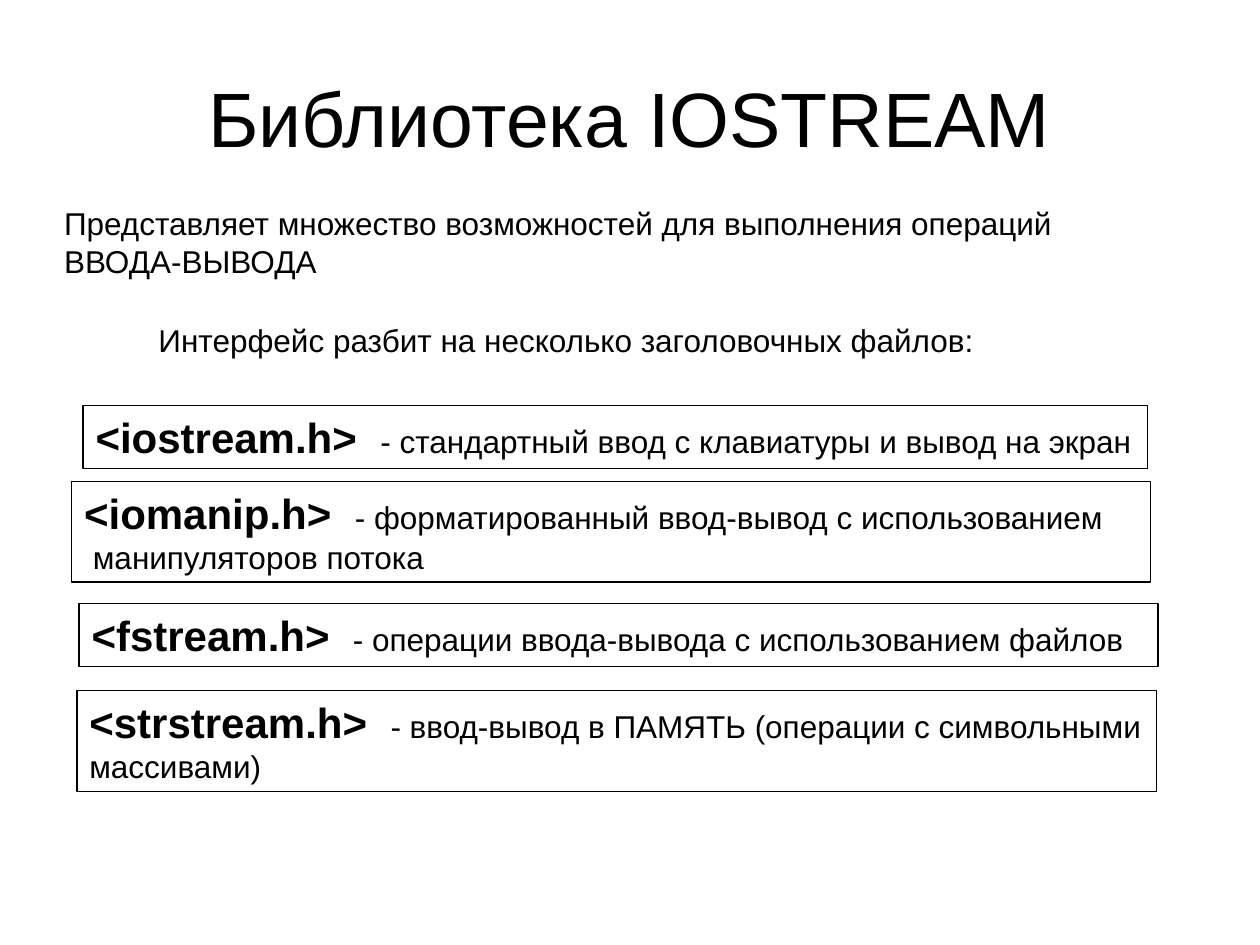
from dataclasses import dataclass

import pptx
import pptx.dml.color
import pptx.enum.shapes
import pptx.enum.text
import pptx.util

Pt = pptx.util.Pt
Align = pptx.enum.text.PP_ALIGN
Anchor = pptx.enum.text.MSO_ANCHOR
AutoSize = pptx.enum.text.MSO_AUTO_SIZE


@dataclass(frozen=True)
class Theme:
    font: str = "Arial"
    ink: pptx.dml.color.RGBColor = pptx.dml.color.RGBColor(0, 0, 0)
    title_size: int = 44
    header_size: int = 24
    body_size: int = 18
    border: float = 0.75


THEME = Theme()


def write_text(paragraph, text, *, size=THEME.body_size, bold=False, align=Align.LEFT):
    paragraph.alignment = align
    run = paragraph.add_run()
    run.text = text
    run.font.name = THEME.font
    run.font.size = Pt(size)
    run.font.bold = bold
    run.font.color.rgb = THEME.ink


def prepare_frame(shape, *, wrap, anchor=Anchor.TOP, auto_size=AutoSize.SHAPE_TO_FIT_TEXT):
    frame = shape.text_frame
    frame.word_wrap = wrap
    frame.auto_size = auto_size
    frame.vertical_anchor = anchor
    return frame


def add_lines(frame, lines):
    """Write further lines below the first paragraph of the frame."""
    for line in lines:
        write_text(frame.add_paragraph(), line)


def add_title(slide, text):
    box = slide.shapes.add_textbox(Pt(36), Pt(21.6), Pt(648), Pt(90))
    frame = prepare_frame(box, wrap=True, anchor=Anchor.MIDDLE, auto_size=AutoSize.NONE)
    write_text(frame.paragraphs[0], text, size=THEME.title_size, align=Align.CENTER)


def add_statement(slide, bounds, first_line, *more_lines):
    box = slide.shapes.add_textbox(*map(Pt, bounds))
    frame = prepare_frame(box, wrap=False)
    write_text(frame.paragraphs[0], first_line)
    add_lines(frame, more_lines)


def add_header_file(slide, bounds, header, purpose, *more_lines, wrap=True):
    """Add a bordered box that names a header file and says what it is for."""
    rectangle = pptx.enum.shapes.MSO_SHAPE.RECTANGLE
    box = slide.shapes.add_shape(rectangle, *map(Pt, bounds))
    box.shadow.inherit = False
    box.fill.background()
    box.line.color.rgb = THEME.ink
    box.line.width = Pt(THEME.border)
    frame = prepare_frame(box, wrap=wrap)
    write_text(frame.paragraphs[0], f"{header}  ", size=THEME.header_size, bold=True)
    write_text(frame.paragraphs[0], f"- {purpose}")
    add_lines(frame, more_lines)


def main():
    presentation = pptx.Presentation()
    presentation.slide_width = Pt(720)
    presentation.slide_height = Pt(540)
    slide = presentation.slides.add_slide(presentation.slide_layouts[6])

    add_title(slide, "Библиотека IOSTREAM")
    add_statement(slide, (29.5, 113, 586.8, 50.4),
                  "Представляет множество возможностей для выполнения операций",
                  "ВВОДА-ВЫВОДА")
    add_statement(slide, (83.5, 180, 486.7, 28.8),
                  "Интерфейс разбит на несколько заголовочных файлов:")

    add_header_file(slide, (47.5, 231.8, 608.4, 36), "<iostream.h>",
                    "стандартный ввод с клавиатуры и вывод на экран", wrap=False)
    add_header_file(slide, (41, 275, 616.5, 57.6), "<iomanip.h>",
                    "форматированный ввод-вывод с использованием",
                    " манипуляторов потока")
    add_header_file(slide, (45.2, 345, 616.5, 36), "<fstream.h>",
                    "операции ввода-вывода с использованием файлов")
    add_header_file(slide, (44, 394.6, 617, 57.6), "<strstream.h>",
                    "ввод-вывод в ПАМЯТЬ (операции с символьными массивами)")

    presentation.save("out.pptx")


if __name__ == "__main__":
    main()
